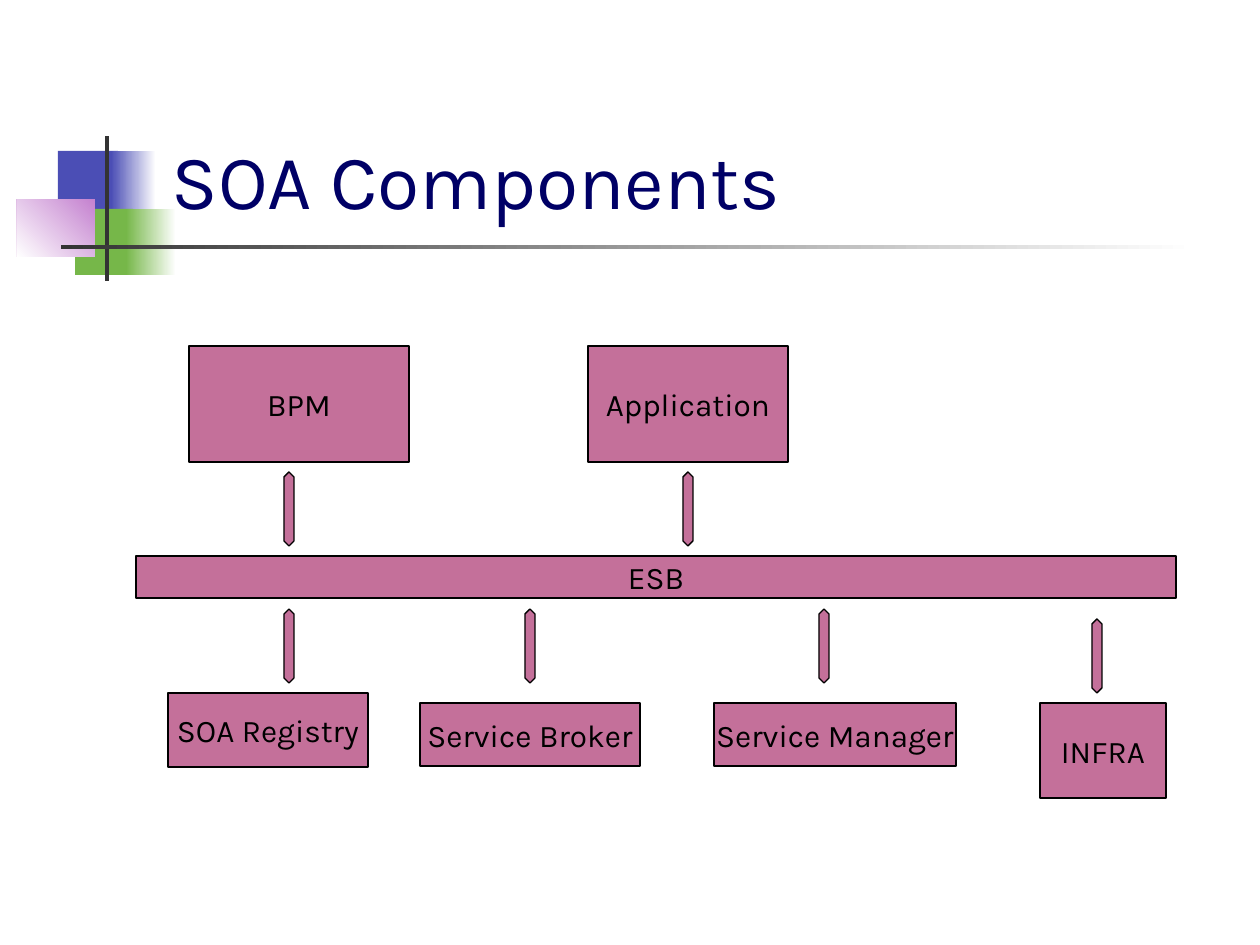
from pptx import Presentation, util as u
from pptx.dml.color import RGBColor
from pptx.enum import shapes, text

SCALE = u.Inches(1) / 126
SHAPE = shapes.MSO_SHAPE


def px(length):
    return u.Emu(round(length * SCALE))


def color(value):
    return RGBColor.from_string(value)


class SlideBuilder:
    font_name = "Karla"
    title_color = "000066"
    box_color = "C4709A"
    ink = "000000"

    def __init__(self, slide):
        self.slide = slide

    def set_text(self, text_frame, content, size, ink, align, anchor):
        text_frame.text = content
        text_frame.auto_size = text.MSO_AUTO_SIZE.NONE
        text_frame.vertical_anchor = anchor
        paragraph = text_frame.paragraphs[0]
        paragraph.alignment = align
        font = paragraph.runs[0].font
        font.name = self.font_name
        font.size = u.Pt(size)
        font.color.rgb = color(ink)

    def title(self, content, left, top, width, height):
        title = self.slide.shapes.title
        title.left, title.top = px(left), px(top)
        title.width, title.height = px(width), px(height)
        self.set_text(title.text_frame, content, 44, self.title_color,
                      text.PP_ALIGN.LEFT, text.MSO_ANCHOR.BOTTOM)

    def shape(self, kind, left, top, width, height, fill):
        shape = self.slide.shapes.add_shape(
            kind, px(left), px(top), px(width), px(height))
        shape.shadow.inherit = False
        shape.fill.solid()
        shape.fill.fore_color.rgb = color(fill)
        shape.line.fill.background()
        return shape

    def block(self, *bounds, fill):
        self.shape(SHAPE.RECTANGLE, *bounds, fill)

    def fade(self, *bounds, start, end, clockwise=180):
        fill = self.shape(SHAPE.RECTANGLE, *bounds, start).fill
        fill.gradient()
        fill.gradient_angle = 360 - clockwise
        for stop, value in zip(fill.gradient_stops, (start, end)):
            stop.color.rgb = color(value)

    def outlined(self, kind, *bounds):
        shape = self.shape(kind, *bounds, self.box_color)
        shape.line.color.rgb = color(self.ink)
        shape.line.width = u.Pt(0.75)
        return shape

    def box(self, label, *bounds):
        text_frame = self.outlined(SHAPE.RECTANGLE, *bounds).text_frame
        self.set_text(text_frame, label, 18, self.ink,
                      text.PP_ALIGN.CENTER, text.MSO_ANCHOR.MIDDLE)
        text_frame.word_wrap = False

    def arrow(self, center, top):
        width, height = 10, 74
        shape = self.outlined(SHAPE.UP_DOWN_ARROW,
                              center - width / 2, top, width, height)
        shape.adjustments[0] = 0.5
        shape.adjustments[1] = 1.39


def main():
    presentation = Presentation()
    presentation.slide_width = px(1260)
    presentation.slide_height = px(945)
    builder = SlideBuilder(
        presentation.slides.add_slide(presentation.slide_layouts[5]))

    white, blue, green, violet, gray = (
        "FFFFFF", "4B4EB5", "76B749", "C481CF", "333333")
    builder.block(58, 151, 60, 66, fill=blue)
    builder.fade(111, 151, 45, 66, start=white, end=blue)
    builder.block(75, 209, 58, 66, fill=green)
    builder.fade(126, 209, 50, 66, start=white, end=green)
    builder.fade(17, 199, 78, 58, start=violet, end=white, clockwise=135)
    builder.block(105, 136, 4, 145, fill=gray)
    builder.fade(61, 245, 1134, 4, start=white, end=gray)

    builder.title("SOA Components", 159, 29, 1074, 202)

    boxes = [
        ("ESB", 136, 556, 1040, 42),
        ("BPM", 189, 346, 220, 116),
        ("Application", 588, 346, 200, 116),
        ("SOA Registry", 168, 693, 200, 74),
        ("Service Broker", 420, 703, 220, 63),
        ("Service Manager", 714, 703, 242, 63),
        ("INFRA", 1040, 703, 126, 95),
    ]
    for box in boxes:
        builder.box(*box)

    arrows = [(289, 472), (688, 472), (289, 609), (530, 609),
              (824, 609), (1097, 619)]
    for center, top in arrows:
        builder.arrow(center, top)

    presentation.save("out.pptx")


if __name__ == "__main__":
    main()
